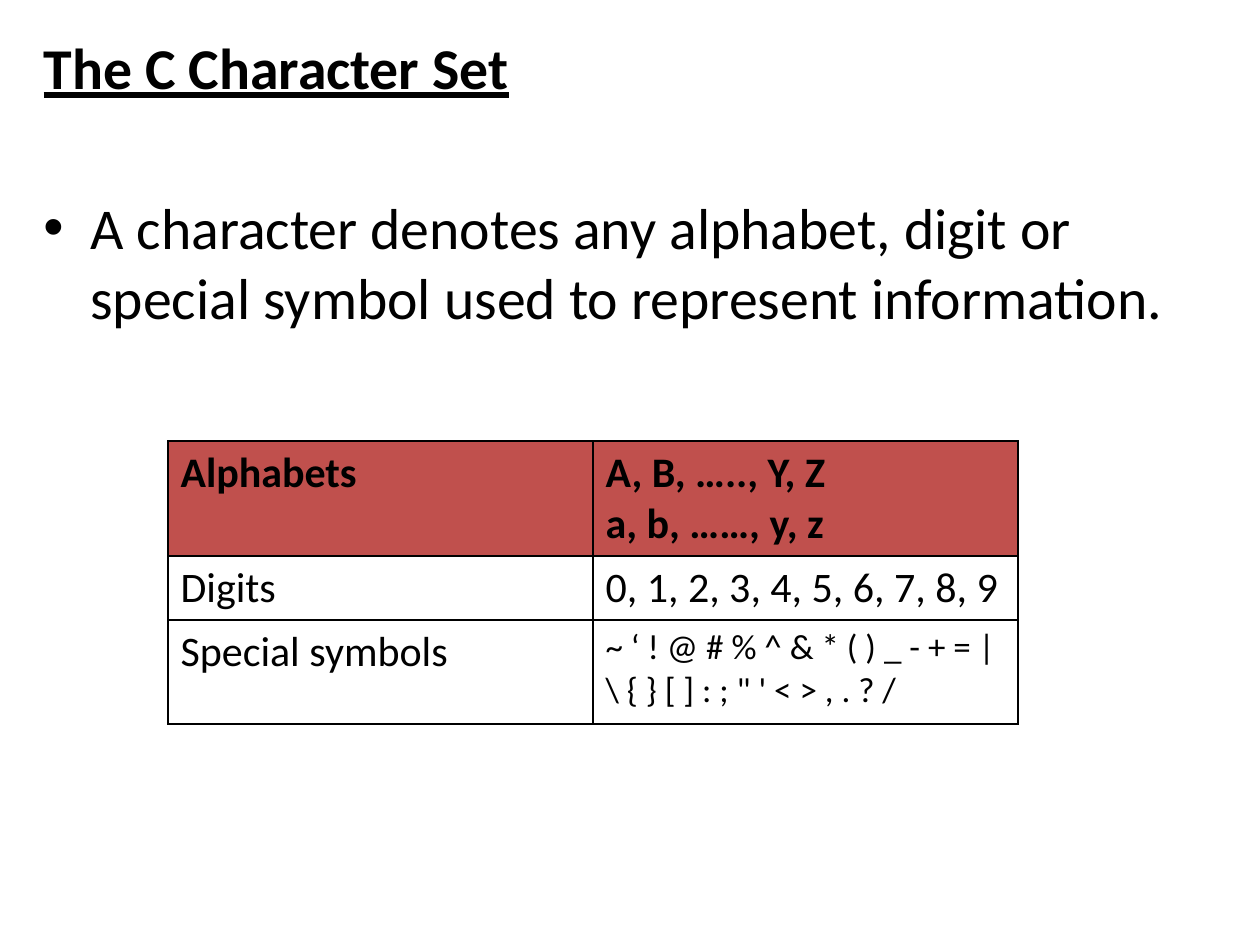
import pptx
import pptx.util
import pptx.dml.color
import pptx.enum.text
import pptx.oxml.ns
import lxml.etree

COLORS = {"ink": "000000", "head": "C0504D", "page": "FFFFFF"}
ROWS = [
    ("Alphabets", "A, B, ….., Y, Z\na, b, ……, y, z"),
    ("Digits", "0, 1, 2, 3, 4, 5, 6, 7, 8, 9"),
    ("Special symbols",
     "~ ‘ ! @ # % ^ & * ( ) _ - + = | \\ { } [ ] : ; \" ' < > , . ? /"),
]
HEIGHTS = [115, 64, 104]
INDENT = 47


def px(n):
    return round(n * 914400 / 126)


def color(name):
    return pptx.dml.color.RGBColor.from_string(COLORS[name])


def style(frame, size, **extra):
    """Format every paragraph of a text frame."""
    form = {"name": "Calibri", "size": pptx.util.Pt(size), **extra}
    for para in frame.paragraphs:
        for key, val in form.items():
            setattr(para.font, key, val)
        para.font.color.rgb = color("ink")


def add_tag(parent, tag, **attrs):
    return lxml.etree.SubElement(parent, pptx.oxml.ns.qn(tag), attrs)


def add_title(slide, left, top, width, height):
    title = slide.shapes.title
    box = {"left": left, "top": top, "width": width, "height": height}
    for key, val in box.items():
        setattr(title, key, px(val))
    frame = title.text_frame
    frame.text = "The C Character Set"
    frame.vertical_anchor = pptx.enum.text.MSO_ANCHOR.TOP
    frame.auto_size = pptx.enum.text.MSO_AUTO_SIZE.NONE
    frame.paragraphs[0].alignment = pptx.enum.text.PP_ALIGN.LEFT
    style(frame, 33, bold=True, underline=True)


def add_point(slide, left, top, width, height):
    """Add the bulleted definition."""
    box = slide.shapes.add_textbox(px(left), px(top), px(width), px(height))
    frame = box.text_frame
    frame.word_wrap = True
    para = frame.paragraphs[0]
    para.text = ("A character denotes any alphabet, digit or "
                 "special symbol used to represent information.")
    props = para._p.get_or_add_pPr()
    props.set("marL", str(px(INDENT)))
    props.set("indent", str(-px(INDENT)))
    add_tag(props, "a:buFont", typeface="Arial")
    add_tag(props, "a:buChar", char="•")
    style(frame, 33)


def add_edges(cell):
    props = cell._tc.get_or_add_tcPr()
    for side in "LRTB":
        line = add_tag(props, f"a:ln{side}", w=str(pptx.util.Pt(1)))
        fill = add_tag(line, "a:solidFill")
        add_tag(fill, "a:srgbClr", val=COLORS["ink"])


def add_grid(slide, left, top, width):
    """Add the table of character groups."""
    shape = slide.shapes.add_table(len(ROWS), 2, px(left), px(top),
                                   px(width), px(sum(HEIGHTS)))
    table = shape.table
    for col in table.columns:
        col.width = px(width / 2)
    for r, texts in enumerate(ROWS):
        table.rows[r].height = px(HEIGHTS[r])
        for c, text in enumerate(texts):
            cell = table.cell(r, c)
            cell.text = text
            add_edges(cell)
            cell.fill.solid()
            cell.fill.fore_color.rgb = color("page" if r else "head")
            size = 20 if (r, c) == (2, 1) else 24
            style(cell.text_frame, size, bold=r == 0)


def main():
    deck = pptx.Presentation()
    deck.slide_width, deck.slide_height = px(1260), px(945)
    slide = deck.slides.add_slide(deck.slide_layouts[5])
    add_title(slide, 31, 25, 1197, 90)
    add_point(slide, 31, 186, 1197, 160)
    add_grid(slide, 168, 441, 850)
    deck.save("out.pptx")


if __name__ == "__main__":
    main()
